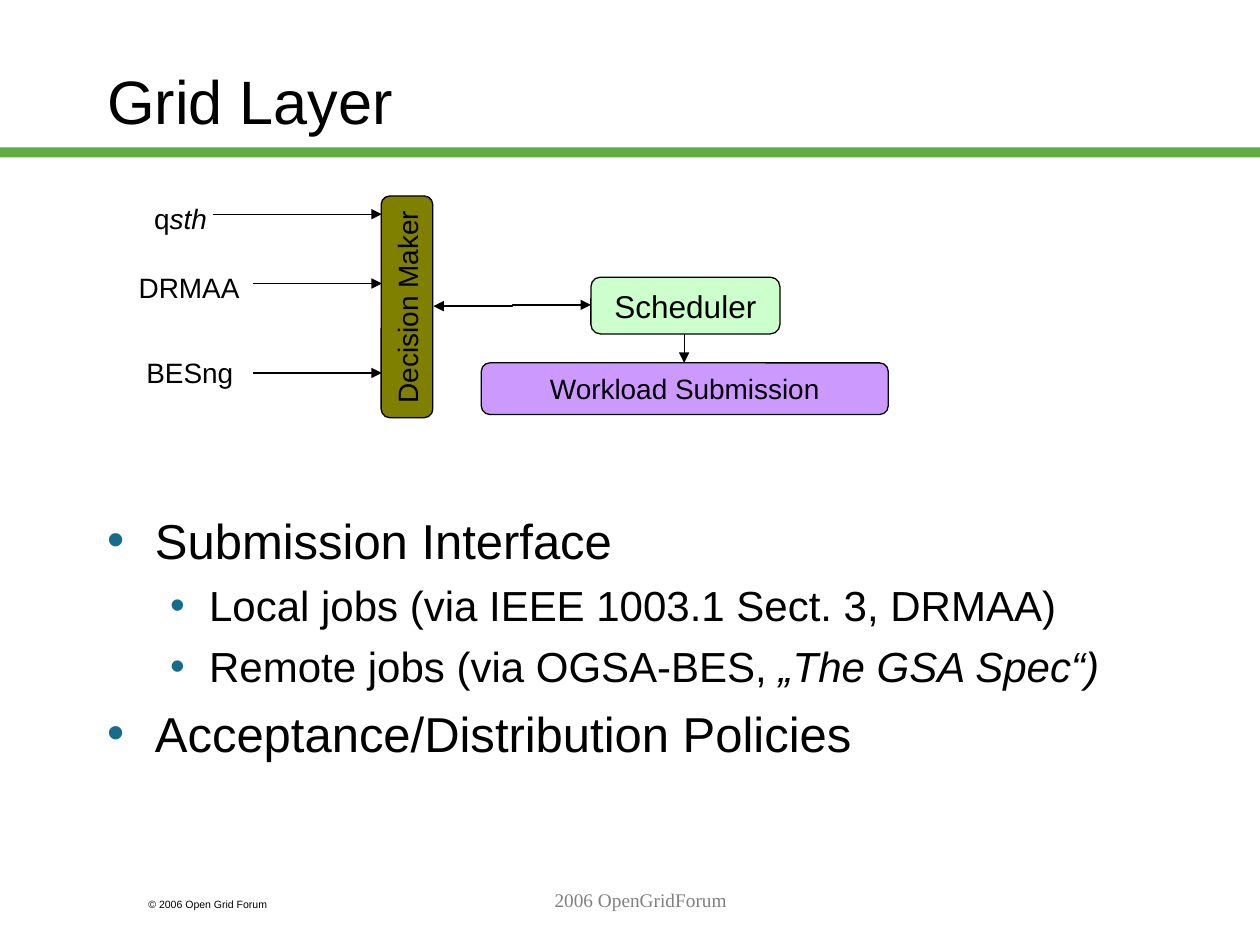
from lxml.etree import SubElement
from pptx import Presentation
from pptx.dml.color import RGBColor
from pptx.enum.shapes import MSO_CONNECTOR, MSO_SHAPE
from pptx.enum.text import MSO_ANCHOR, MSO_AUTO_SIZE, PP_ALIGN
from pptx.oxml.ns import qn
from pptx.util import Inches, Pt

BLACK = RGBColor(0x00, 0x00, 0x00)
GRAY = RGBColor(0x80, 0x80, 0x80)
GREEN = RGBColor(0x5D, 0xAD, 0x41)
OLIVE = RGBColor(0x80, 0x80, 0x00)
MINT = RGBColor(0xCC, 0xFF, 0xCC)
VIOLET = RGBColor(0xCC, 0x99, 0xFF)
BULLET_COLOR = "176D89"

TITLE = "Grid Layer"
BULLETS = [
    (0, [("Submission Interface", False)]),
    (1, [("Local jobs (via IEEE 1003.1 Sect. 3, DRMAA)", False)]),
    (1, [("Remote jobs (via OGSA-BES, ", False), ("„The GSA Spec“)", True)]),
    (0, [("Acceptance/Distribution Policies", False)]),
]
LEVELS = [
    {"size": 28, "space": 7, "left": 0.38, "hanging": 0.38},
    {"size": 24, "space": 6, "left": 0.81, "hanging": 0.31},
]
BOXES = [
    ("Decision Maker", (2.35, 2.23, 1.76, 0.41), 270, OLIVE, 16),
    ("Scheduler", (4.69, 2.2, 1.5, 0.45), 0, MINT, 18),
    ("Workload Submission", (3.82, 2.88, 3.23, 0.41), 0, VIOLET, 16),
]
LABELS = [
    ([("q", False), ("sth", True)], (1.12, 1.55, 0.62, 0.37), PP_ALIGN.RIGHT, 16, "Arial", BLACK, False),
    ([("DRMAA", False)], (1, 2.1, 1, 0.37), PP_ALIGN.RIGHT, 16, "Arial", BLACK, False),
    ([("BESng", False)], (1.06, 2.77, 0.89, 0.37), PP_ALIGN.RIGHT, 16, "Arial", BLACK, False),
    ([("© 2006 Open Grid Forum", False)], (1.08, 7.08, 1.5, 0.2), PP_ALIGN.LEFT, 6, "Arial", BLACK, True),
    ([("2006 OpenGridForum", False)], (2.17, 7, 5.83, 0.5), PP_ALIGN.CENTER, 11, "Times New Roman", GRAY, True),
]
ARROWS = [
    (MSO_CONNECTOR.STRAIGHT, (2.01, 2.96, 3.03, 2.96), ["tailEnd"]),
    (MSO_CONNECTOR.STRAIGHT, (2.01, 2.25, 3.03, 2.25), ["tailEnd"]),
    (MSO_CONNECTOR.STRAIGHT, (1.69, 1.7, 3.03, 1.7), ["tailEnd"]),
    (MSO_CONNECTOR.ELBOW, (3.44, 2.43, 4.69, 2.42), ["headEnd", "tailEnd"]),
    (MSO_CONNECTOR.STRAIGHT, (5.43, 2.65, 5.43, 2.88), ["tailEnd"]),
]


def inches(values):
    return [Inches(value) for value in values]


def place(shape, box):
    for name, value in zip(("left", "top", "width", "height"), inches(box)):
        setattr(shape, name, value)


def write(paragraph, runs, size, name="Arial", color=BLACK):
    for text, italic in runs:
        run = paragraph.add_run()
        run.text = text
        run.font.color.rgb = color
        for key, value in {"size": Pt(size), "name": name, "italic": italic}.items():
            setattr(run.font, key, value)


def format_frame(frame, anchor, wrap=True):
    settings = {"auto_size": MSO_AUTO_SIZE.NONE, "vertical_anchor": anchor, "word_wrap": wrap}
    for key, value in settings.items():
        setattr(frame, key, value)


def add_bullet(paragraph, level):
    properties = paragraph._p.get_or_add_pPr()
    properties.set("marL", str(Inches(level["left"])))
    properties.set("indent", str(-Inches(level["hanging"])))
    color = SubElement(properties, qn("a:buClr"))
    SubElement(color, qn("a:srgbClr"), val=BULLET_COLOR)
    SubElement(properties, qn("a:buFont"), typeface="Arial")
    SubElement(properties, qn("a:buChar"), char="•")


def add_shape(slide, kind, box, color):
    shape = slide.shapes.add_shape(kind, *inches(box))
    shape.shadow.inherit = False
    shape.fill.solid()
    shape.fill.fore_color.rgb = color
    return shape


def add_box(slide, text, box, rotation, color, size):
    shape = add_shape(slide, MSO_SHAPE.ROUNDED_RECTANGLE, box, color)
    shape.rotation = rotation
    shape.line.color.rgb = BLACK
    shape.line.width = Pt(0.75)
    format_frame(shape.text_frame, MSO_ANCHOR.MIDDLE, wrap=not rotation)
    paragraph = shape.text_frame.paragraphs[0]
    paragraph.alignment = PP_ALIGN.CENTER
    write(paragraph, [(text, False)], size)


def add_label(slide, runs, box, alignment, size, name, color, wrap):
    frame = slide.shapes.add_textbox(*inches(box)).text_frame
    format_frame(frame, MSO_ANCHOR.TOP, wrap)
    frame.paragraphs[0].alignment = alignment
    write(frame.paragraphs[0], runs, size, name, color)


def add_arrow(slide, kind, ends, heads):
    connector = slide.shapes.add_connector(kind, *inches(ends))
    connector.line.color.rgb = BLACK
    connector.line.width = Pt(0.75)
    for head in heads:
        SubElement(connector.line._get_or_add_ln(), qn(f"a:{head}"), type="triangle")
    SubElement(connector._element.spPr, qn("a:effectLst"))


def main():
    presentation = Presentation()
    presentation.slide_width = Inches(10)
    presentation.slide_height = Inches(7.5)
    slide = presentation.slides.add_slide(presentation.slide_layouts[1])
    title, body = slide.placeholders

    bar = add_shape(slide, MSO_SHAPE.RECTANGLE, (0, 1.17, 10, 0.08), GREEN)
    bar.line.fill.background()

    place(title, (0.75, 0.17, 8.5, 1.25))
    format_frame(title.text_frame, MSO_ANCHOR.MIDDLE)
    title.text_frame.paragraphs[0].alignment = PP_ALIGN.LEFT
    write(title.text_frame.paragraphs[0], [(TITLE, False)], 35)

    place(body, (0.75, 4, 8.5, 2.17))
    frame = body.text_frame
    format_frame(frame, MSO_ANCHOR.TOP)
    for index, (depth, runs) in enumerate(BULLETS):
        paragraph = frame.add_paragraph() if index else frame.paragraphs[0]
        level = LEVELS[depth]
        paragraph.level = depth
        paragraph.space_before = Pt(level["space"] if index else 0)
        add_bullet(paragraph, level)
        write(paragraph, runs, level["size"])

    for box in BOXES:
        add_box(slide, *box)
    for label in LABELS:
        add_label(slide, *label)
    for arrow in ARROWS:
        add_arrow(slide, *arrow)
    presentation.save("out.pptx")


if __name__ == "__main__":
    main()
